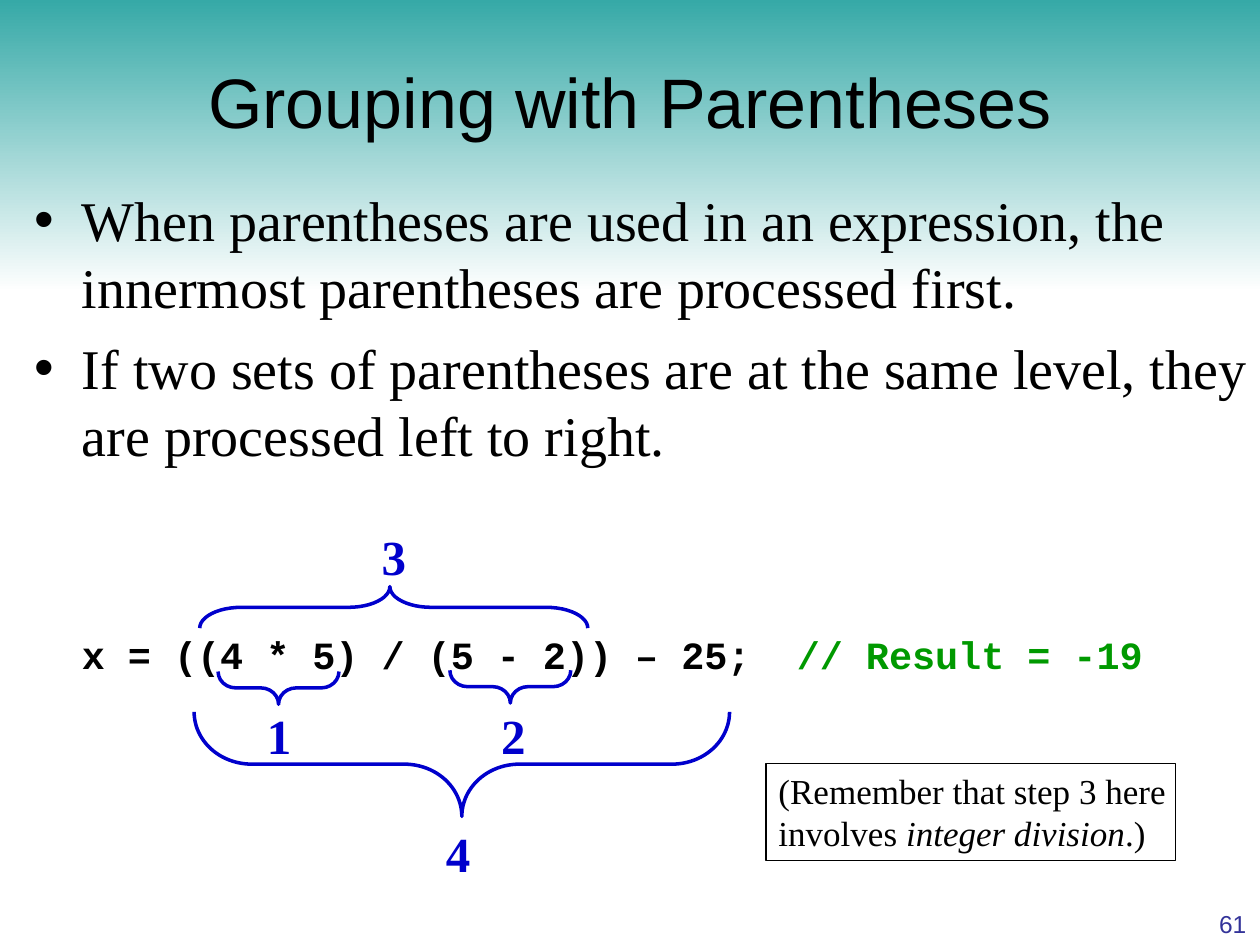
"""Build a slide on how grouping parentheses set the order of evaluation."""
from lxml import etree
from pptx import Presentation
from pptx.dml.color import RGBColor
from pptx.enum.shapes import MSO_SHAPE
from pptx.enum.text import MSO_ANCHOR, MSO_AUTO_SIZE, PP_ALIGN
from pptx.oxml.ns import qn
from pptx.util import Inches, Pt

RECT, BRACE = MSO_SHAPE.RECTANGLE, MSO_SHAPE.RIGHT_BRACE
TOP, MIDDLE, BOTTOM = MSO_ANCHOR.TOP, MSO_ANCHOR.MIDDLE, MSO_ANCHOR.BOTTOM
LEFT, CENTER, RIGHT = PP_ALIGN.LEFT, PP_ALIGN.CENTER, PP_ALIGN.RIGHT
NONE = MSO_AUTO_SIZE.NONE
COLORS = {"teal": "36A9A7", "white": "FFFFFF", "black": "000000",
          "navy": "333399", "blue": "0000CC", "green": "009900"}
SERIF, SANS, MONO = "Times New Roman", "Arial", "Courier New"


def color(name):
    return RGBColor.from_string(COLORS[name])


def write(para, text, tint="black", **font):
    run = para.add_run()
    run.text = text
    run.font.color.rgb = color(tint)
    for key, value in font.items():
        setattr(run.font, key, value)


prs = Presentation()
prs.slide_width, prs.slide_height = Inches(10), Inches(7.5)
slide = prs.slides.add_slide(prs.slide_layouts[1])
shapes = slide.shapes
title, body = slide.placeholders

band = shapes.add_shape(RECT, 0, 0, Inches(10), Inches(2.32))
band.shadow.inherit = False
band.line.fill.background()
band.fill.gradient()
band.fill.gradient_angle = 270
for stop, name, pos in zip(band.fill.gradient_stops, ("teal", "white"), (0, 1)):
    stop.color.rgb = color(name)
    stop.position = pos
title._element.addprevious(band._element)

note = shapes.add_shape(RECT, 0, 0, Inches(1), Inches(1))
note.shadow.inherit = False
note.fill.background()
note.line.color.rgb = color("black")
note.line.width = Pt(0.75)
page = shapes.add_textbox(0, 0, Inches(1), Inches(1))

frames = [
    (title, (0, 0.25, 10, 1.09), MIDDLE, 0.1, CENTER),
    (body, (0.17, 1.42, 9.83, 4.51), TOP, 0, LEFT),
    (note, (6.08, 6.06, 3.25, 0.77), TOP, 0.05, LEFT),
    (page, (9.24, 7.17, 0.75, 0.33), BOTTOM, 0.1, RIGHT),
]
steps = [("1", 2.02, 5.55), ("2", 3.88, 5.55), ("3", 2.93, 4.13), ("4", 3.44, 6.49)]
labels = []
for digit, left, top in steps:
    label = shapes.add_textbox(0, 0, Inches(1), Inches(1))
    frames.append((label, (left, top, 0.33, 0.57), TOP, 0, LEFT))
    labels.append((label, digit))

for box, place, anchor, inset, align in frames:
    box.left, box.top, box.width, box.height = map(Inches, place)
    frame = box.text_frame
    form = {"word_wrap": True, "auto_size": NONE, "vertical_anchor": anchor,
            "margin_left": Inches(0.1), "margin_right": Inches(inset),
            "margin_top": Inches(0.05), "margin_bottom": Inches(0.05)}
    for key, value in form.items():
        setattr(frame, key, value)
    frame.paragraphs[0].alignment = align

write(title.text_frame.paragraphs[0], "Grouping with Parentheses",
      name=SANS, size=Pt(40))
write(page.text_frame.paragraphs[0], "61", "navy", name=SANS, size=Pt(14))
for label, digit in labels:
    write(label.text_frame.paragraphs[0], digit, "blue",
          name=SERIF, size=Pt(28), bold=True)
for text, slant in [("(Remember that step 3 here involves ", False),
                    ("integer division", True), (".)", False)]:
    write(note.text_frame.paragraphs[0], text, name=SERIF, size=Pt(20), italic=slant)

prose = {"name": SERIF, "size": Pt(32)}
code = {"name": MONO, "size": Pt(22), "bold": True}
lines = [
    ([("When parentheses are used in an expression, the innermost "
       "parentheses are processed first.", "black")], prose, 0, -0.38),
    ([("If two sets of parentheses are at the same level, "
       "they are processed left to right.", "black")], prose, 8, -0.38),
    ([("x = ((4 * 5) / (5 - 2)) – 25;  ", "black"),
      ("// Result = -19", "green")], code, 93, 0),
]
for row, (runs, font, gap, hang) in enumerate(lines):
    para = body.text_frame.paragraphs[0] if row == 0 else body.text_frame.add_paragraph()
    para.space_before = Pt(gap)
    para.line_spacing = 1.0
    props = para._p.get_or_add_pPr()
    props.set("marL", str(Inches(0.38)))
    props.set("indent", str(Inches(hang)))
    if hang:
        etree.SubElement(props, qn("a:buChar")).set("char", "•")
    else:
        etree.SubElement(props, qn("a:buNone"))
    for text, tint in runs:
        write(para, text, tint, **font)

braces = [
    (2.08, 4.98, 0.26, 0.96, 90, 0.54, 0.5),
    (3.92, 4.97, 0.26, 0.96, 90, 0.54, 0.5),
    (2.96, 3.28, 0.33, 3.08, 270, 1, 0.49),
    (3.25, 3.94, 0.83, 4.25, 90, 0.55, 0.5),
]
for *place, turn, curve, tip in braces:
    brace = shapes.add_shape(BRACE, *map(Inches, place))
    brace.rotation = turn
    brace.adjustments[0] = curve
    brace.adjustments[1] = tip
    brace.shadow.inherit = False
    brace.fill.background()
    brace.line.color.rgb = color("blue")
    brace.line.width = Pt(2)

prs.save("out.pptx")
